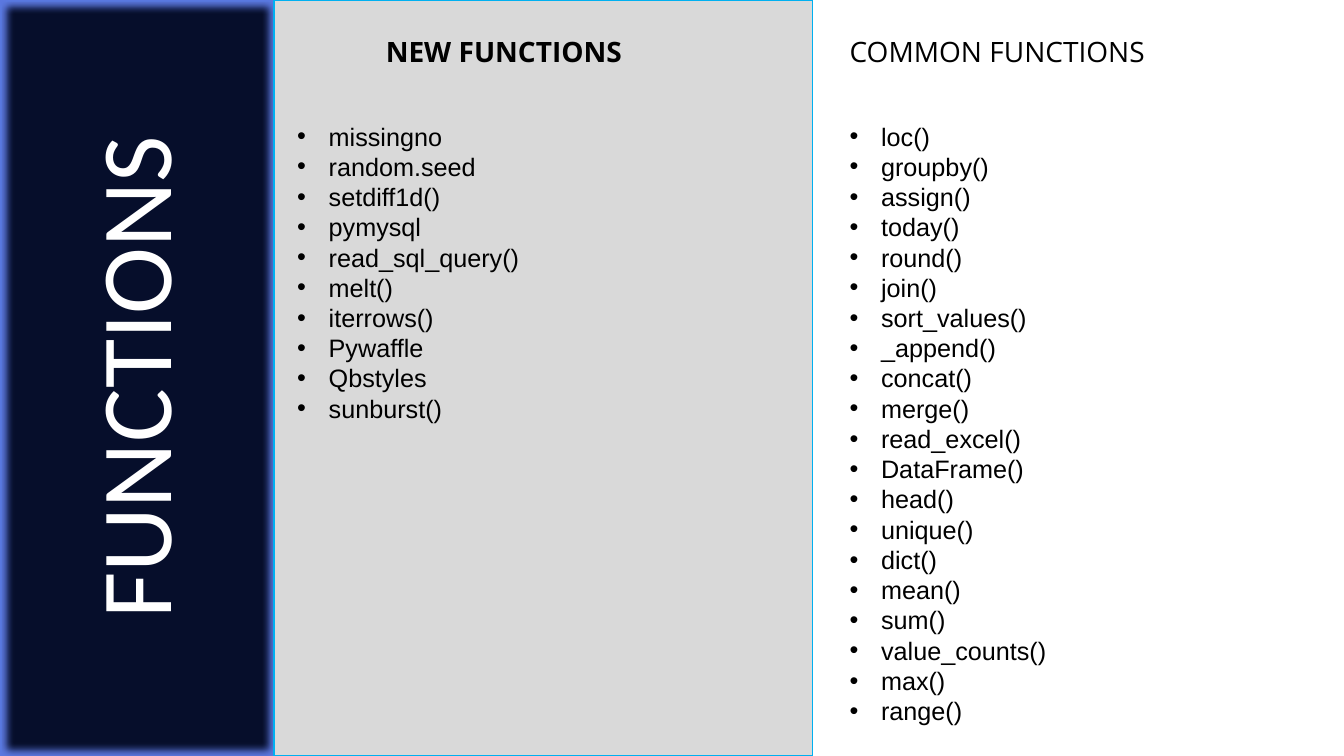
from lxml.etree import SubElement
from pptx import Presentation
from pptx.dml.color import RGBColor
from pptx.enum.shapes import MSO_SHAPE as Preset
from pptx.enum.text import MSO_AUTO_SIZE as AutoSize, PP_ALIGN as Align
from pptx.oxml.ns import qn
from pptx.util import Pt

COLORS = {"navy": "060E2B", "gray": "D9D9D9", "cyan": "00B0F0",
          "glow": "5B78E0", "black": "000000", "white": "FFFFFF"}
FORMATS = {
    "title": {"name": "Calibri", "size": Pt(72), "color": "white"},
    "strong": {"name": "Open Sans", "size": Pt(20), "bold": True, "color": "black"},
    "heading": {"name": "Open Sans", "size": Pt(20), "color": "black"},
    "item": {"name": "Arial", "size": Pt(18), "color": "black"},
}
NEW_FUNCTIONS = ["missingno", "random.seed", "setdiff1d()", "pymysql",
                 "read_sql_query()", "melt()", "iterrows()", "Pywaffle",
                 "Qbstyles", "sunburst()"]
COMMON_FUNCTIONS = ["loc()", "groupby()", "assign()", "today()", "round()",
                    "join()", "sort_values()", "_append()", "concat()",
                    "merge()", "read_excel()", "DataFrame()", "head()",
                    "unique()", "dict()", "mean()", "sum()",
                    "value_counts()", "max()", "range()"]
WIDTH, HEIGHT = 960, 540
SIDEBAR_WIDTH, PANEL_WIDTH = 195.84, 384.5
COMMON_LEFT = 599.76
HEADING_TOP, LIST_TOP = 20.88, 82.8
INDENT = 22.5


class SlideBuilder:
    def __init__(self, slide, colors, formats):
        self.slide = slide
        self.colors = colors
        self.formats = formats

    def color(self, name):
        return RGBColor.from_string(self.colors[name])

    def panel(self, left, width, fill):
        shape = self.slide.shapes.add_shape(
            Preset.RECTANGLE, Pt(left), Pt(0), Pt(width), Pt(HEIGHT))
        shape.shadow.inherit = False
        shape.fill.solid()
        shape.fill.fore_color.rgb = self.color(fill)
        shape.line.color.rgb = self.color("cyan")
        shape.line.width = Pt(1)
        return shape

    def soften(self, shape):
        """Add a glow, a drop shadow and soft edges to the shape."""
        effects = shape._element.spPr.find(qn("a:effectLst"))
        glow = SubElement(effects, qn("a:glow"), rad=str(Pt(8)))
        SubElement(glow, qn("a:srgbClr"), val=self.colors["glow"])
        shadow = SubElement(effects, qn("a:outerShdw"), blurRad=str(Pt(4)),
                            dist=str(Pt(3)), dir="2700000", rotWithShape="0")
        tint = SubElement(shadow, qn("a:srgbClr"), val=self.colors["black"])
        SubElement(tint, qn("a:alpha"), val="40000")
        SubElement(effects, qn("a:softEdge"), rad=str(Pt(5)))

    def text(self, left, top, width, height, lines, style,
             align=Align.LEFT, bullets=False):
        box = self.slide.shapes.add_textbox(
            Pt(left), Pt(top), Pt(width), Pt(height))
        frame = box.text_frame
        frame.word_wrap = True
        frame.auto_size = AutoSize.SHAPE_TO_FIT_TEXT
        frame.text = "\n".join(lines)
        for paragraph in frame.paragraphs:
            paragraph.alignment = align
            self.apply_format(paragraph.runs[0].font, style)
            if bullets:
                self.bullet(paragraph)
        return box

    def apply_format(self, font, style):
        for key, value in self.formats[style].items():
            if key == "color":
                font.color.rgb = self.color(value)
            else:
                setattr(font, key, value)

    def bullet(self, paragraph):
        properties = paragraph._p.get_or_add_pPr()
        properties.set("marL", str(Pt(INDENT)))
        properties.set("indent", str(-Pt(INDENT)))
        SubElement(properties, qn("a:buFont"), typeface="Arial")
        SubElement(properties, qn("a:buChar"), char="•")


def main():
    presentation = Presentation()
    presentation.slide_width = Pt(WIDTH)
    presentation.slide_height = Pt(HEIGHT)
    slide = presentation.slides.add_slide(presentation.slide_layouts[6])
    builder = SlideBuilder(slide, COLORS, FORMATS)

    sidebar = builder.panel(0, SIDEBAR_WIDTH, "navy")
    builder.soften(sidebar)
    title = builder.text(-150.48, 222.48, 488.88, 94.32, ["FUNCTIONS"],
                         "title", Align.CENTER)
    title.rotation = 270

    builder.panel(SIDEBAR_WIDTH, PANEL_WIDTH, "gray")
    builder.text(205.2, LIST_TOP, 221.76, 246.96, NEW_FUNCTIONS, "item", bullets=True)
    builder.text(COMMON_LEFT, LIST_TOP, 342, 443.52, COMMON_FUNCTIONS, "item", bullets=True)
    builder.text(221.76, HEADING_TOP, 276.48, 31.68, ["NEW FUNCTIONS"],
                 "strong", Align.CENTER)
    builder.text(COMMON_LEFT, HEADING_TOP, 303.12, 31.68, ["COMMON FUNCTIONS"], "heading")

    presentation.save("out.pptx")


if __name__ == "__main__":
    main()
